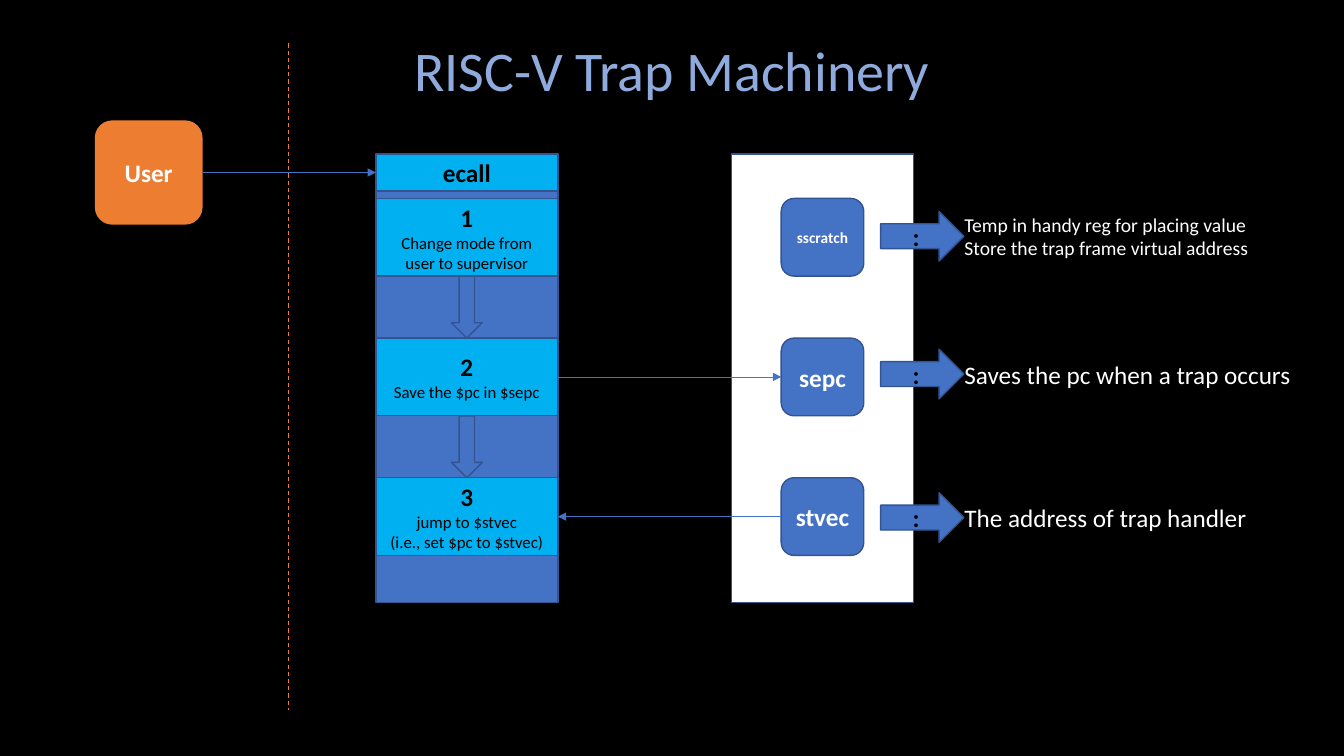
import pptx
import pptx.util
import pptx.dml.color
import pptx.enum.dml
import pptx.enum.shapes
import pptx.enum.text
import pptx.oxml.ns
import lxml.etree

Pt = pptx.util.Pt
MSO = pptx.enum.shapes.MSO_SHAPE
ALIGN = pptx.enum.text.PP_ALIGN
MIDDLE = pptx.enum.text.MSO_ANCHOR.MIDDLE
BLUE, CYAN, ORANGE = "4472C4", "00B0F0", "ED7D31"
rgb = pptx.dml.color.RGBColor.from_string

prs = pptx.Presentation()
prs.slide_width, prs.slide_height = Pt(960), Pt(540)
s = prs.slides.add_slide(prs.slide_layouts[5])
s.background.fill.solid()
s.background.fill.fore_color.rgb = rgb("000000")


def add_box(kind, x, y, w, h, fill, text="", size=18, color="FFFFFF", border="325491"):
    """Filled shape with a bold first line and 12 pt lines below it."""
    sp = s.shapes.add_shape(kind, Pt(x), Pt(y), Pt(w), Pt(h))
    sp.shadow.inherit = False
    sp.fill.solid()
    sp.fill.fore_color.rgb = rgb(fill)
    if border:
        sp.line.color.rgb = rgb(border)
        sp.line.width = Pt(1)
    else:
        sp.line.fill.background()
    if text:
        tf = sp.text_frame
        tf.text = text
        tf.vertical_anchor = MIDDLE
        for i, p in enumerate(tf.paragraphs):
            p.alignment = ALIGN.CENTER
            for r in p.runs:
                r.font.name = "Calibri"
                r.font.size = Pt(12 if i else size)
                r.font.bold = i == 0
                r.font.color.rgb = rgb(color)


def add_line(x1, y1, x2, y2, color, width, arrow=True):
    c = s.shapes.add_connector(pptx.enum.shapes.MSO_CONNECTOR.STRAIGHT,
                               Pt(x1), Pt(y1), Pt(x2), Pt(y2))
    c.line.color.rgb = rgb(color)
    c.line.width = Pt(width)
    if arrow:
        ln = c.line._get_or_add_ln()
        lxml.etree.SubElement(ln, pptx.oxml.ns.qn("a:tailEnd"), type="triangle")
    else:
        c.line.dash_style = pptx.enum.dml.MSO_LINE.DASH
    lxml.etree.SubElement(c._element.spPr, pptx.oxml.ns.qn("a:effectLst"))


# Title
sp = s.shapes.title
sp.left, sp.top, sp.width, sp.height = Pt(147.5), Pt(21.5), Pt(665), Pt(55.5)
sp.text_frame.text = "RISC-V Trap Machinery"
sp.text_frame.vertical_anchor = MIDDLE
p = sp.text_frame.paragraphs[0]
p.alignment = ALIGN.CENTER
p.runs[0].font.name = "Calibri"
p.runs[0].font.size = Pt(40)
p.runs[0].font.color.rgb = rgb("8FAADC")

# Column panels
panel_top, panel_w, panel_h = 110, 130, 320.5
ecall_x, reg_panel_x, reg_x, reg_w = 268.5, 522.5, 558, 59
add_box(MSO.RECTANGLE, reg_panel_x, panel_top, panel_w, panel_h, "FFFFFF")
add_box(MSO.RECTANGLE, ecall_x, panel_top, panel_w, panel_h, BLUE)
add_box(MSO.RECTANGLE, ecall_x, panel_top, panel_w, 26.5, CYAN, "ecall", color="000000")

# Three rows: step, register, arrow and meaning
row_top, row_h, pitch = 141.75, 55.5, 99.75
rows = [
    ("1\nChange mode from user to supervisor", "sscratch", 11, 151,
     "Temp in handy reg for placing value\nStore the trap frame virtual address", 14, 218, 41),
    ("2\nSave the $pc in $sepc", "sepc", 18, 249.5,
     "Saves the pc when a trap occurs", 18, 250.5, 29),
    ("3\njump to $stvec\n(i.e., set $pc to $stvec)", "stvec", 18, 352,
     "The address of trap handler", 18, 218, 29),
]
for i, (step, reg, reg_size, arrow_y, meaning, size, note_w, note_h) in enumerate(rows):
    y = row_top + i * pitch
    add_box(MSO.RECTANGLE, ecall_x, y, panel_w, row_h, CYAN, step, color="000000")
    if i < len(rows) - 1:
        add_box(MSO.DOWN_ARROW, 322.5, y + row_h, 22, pitch - row_h, BLUE)
    add_box(MSO.ROUNDED_RECTANGLE, reg_x, y, reg_w, row_h, BLUE, reg, reg_size)
    add_box(MSO.RIGHT_ARROW, 629, arrow_y, 59.5, 35.5, BLUE, ":", color="000000")

    note_y = arrow_y + 18 - note_h / 2
    tb = s.shapes.add_textbox(Pt(681.75), Pt(note_y), Pt(note_w), Pt(note_h))
    tf = tb.text_frame
    tf.text = meaning
    tf.word_wrap = False
    tf.auto_size = pptx.enum.text.MSO_AUTO_SIZE.SHAPE_TO_FIT_TEXT
    for p in tf.paragraphs:
        p.runs[0].font.name = "Calibri"
        p.runs[0].font.size = Pt(size)
        p.runs[0].font.color.rgb = rgb("FFFFFF")

# User block
add_box(MSO.ROUNDED_RECTANGLE, 67.75, 86, 77, 74.5, ORANGE, "User", border=None)

# Flow arrows and the user/kernel boundary
ecall_right = ecall_x + panel_w
sepc_y = row_top + pitch + row_h / 2
add_line(144.75, 123.25, ecall_x, 123.25, BLUE, 0.5)
add_line(reg_x, sepc_y + pitch, ecall_right, sepc_y + pitch, BLUE, 0.5)
add_line(ecall_right, sepc_y, reg_x, sepc_y, BLUE, 0.5)
add_line(206, 31, 206, 507, ORANGE, 0.75, arrow=False)

prs.save("out.pptx")
